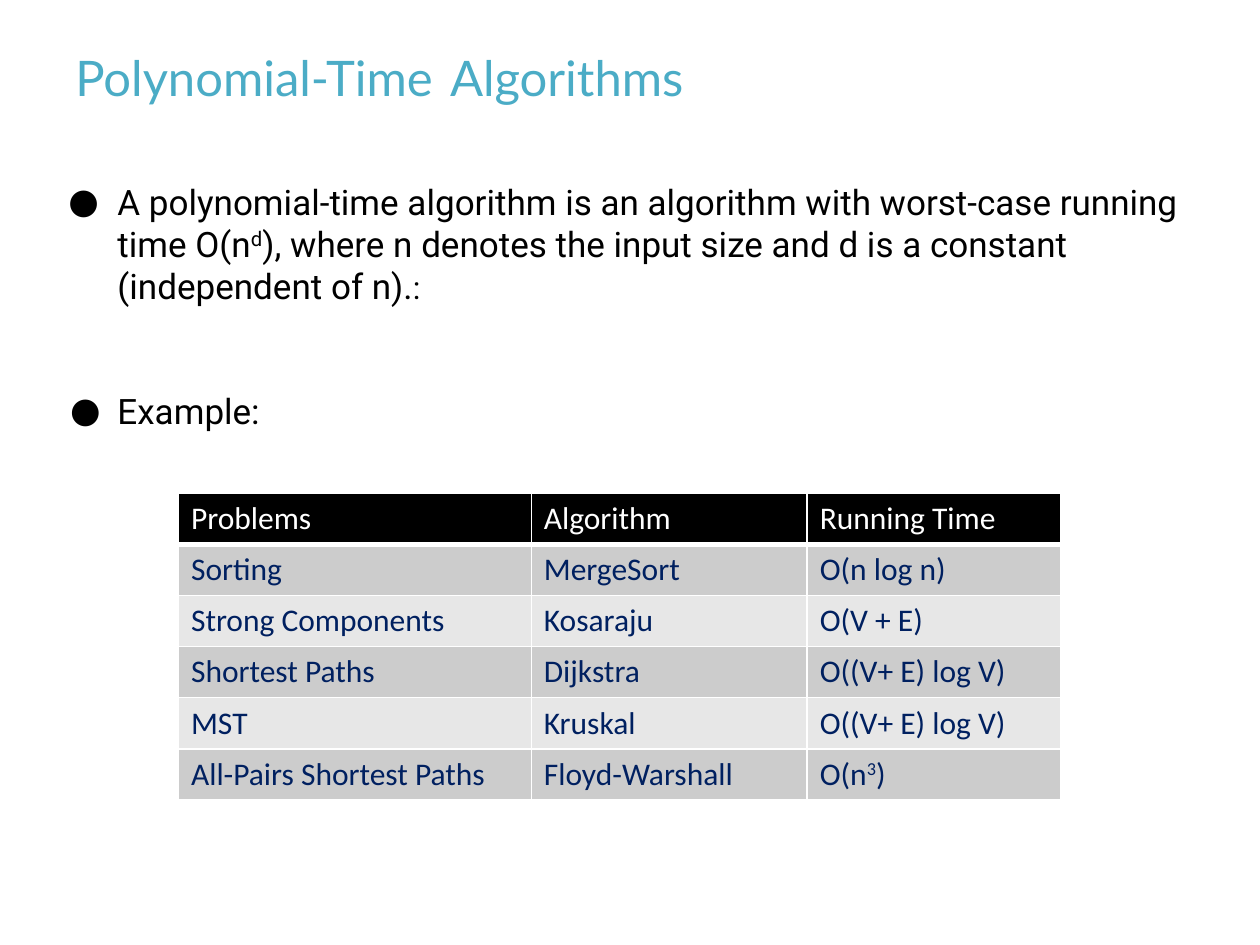
from dataclasses import dataclass

from lxml.etree import SubElement
from pptx import Presentation
from pptx.dml.color import RGBColor
from pptx.enum.shapes import MSO_SHAPE
from pptx.enum.text import MSO_ANCHOR, PP_ALIGN
from pptx.oxml.ns import qn
from pptx.util import Pt


@dataclass(frozen=True)
class Theme:
    title: str = "4BACC6"
    text: str = "000000"
    cell_text: str = "002060"
    white: str = "FFFFFF"
    header: str = "000000"
    bands: tuple = ("CCCCCC", "E7E7E7")
    title_size: int = 28
    gap_size: int = 44
    body_size: int = 20
    small_size: int = 18
    title_font: str = "Lato"
    body_font: str = "Roboto"
    table_font: str = "Calibri"


THEME = Theme()

ROWS = [
    ("Problems", "Algorithm", "Running Time"),
    ("Sorting", "MergeSort", "O(n log n)"),
    ("Strong Components", "Kosaraju", "O(V + E)"),
    ("Shortest Paths", "Dijkstra", "O((V+ E) log V)"),
    ("MST", "Kruskal", "O((V+ E) log V)"),
    ("All-Pairs Shortest Paths", "Floyd-Warshall", ("O(n", "3", ")")),
]


def apply_format(target, values):
    for name, value in values.items():
        setattr(target, name, value)


def add_span(para, text, font, size, color, raised=False):
    span = para.add_run()
    span.text = text
    apply_format(span.font, {"name": font, "size": Pt(size), "bold": False})
    span.font.color.rgb = RGBColor.from_string(color)
    if raised:
        span._r.get_or_add_rPr().set("baseline", "30000")


def format_frame(box, anchor):
    margins = {f"margin_{side}": Pt(7.2) for side in ("left", "top", "right", "bottom")}
    apply_format(box.text_frame, {"word_wrap": True, "vertical_anchor": anchor, **margins})
    return box.text_frame


def add_bullet(para, indent, hanging):
    properties = para._p.get_or_add_pPr()
    properties.set("marL", str(Pt(indent)))
    properties.set("indent", str(-Pt(hanging)))
    color = SubElement(properties, qn("a:buClr"))
    SubElement(color, qn("a:srgbClr"), val=THEME.text)
    SubElement(properties, qn("a:buFont"), typeface=THEME.body_font)
    SubElement(properties, qn("a:buChar"), char="●")


def set_borders(cell, widths):
    properties = cell._tc.get_or_add_tcPr()
    for position, (side, width) in enumerate(widths.items()):
        line = SubElement(properties, qn(f"a:ln{side}"), w=str(Pt(width)))
        fill = SubElement(line, qn("a:solidFill"))
        SubElement(fill, qn("a:srgbClr"), val=THEME.white)
        properties.insert(position, line)  # borders precede the cell fill


def add_title(page):
    box = page.shapes.add_shape(MSO_SHAPE.RECTANGLE, Pt(36), Pt(12.24), Pt(671), Pt(51.1))
    box.shadow.inherit = False
    box.fill.background()
    box.line.color.rgb = RGBColor.from_string(THEME.white)
    box.line.width = Pt(2.25)
    para = format_frame(box, MSO_ANCHOR.MIDDLE).paragraphs[0]
    para.alignment = PP_ALIGN.LEFT
    add_span(para, "Polynomial-Time", THEME.title_font, THEME.title_size, THEME.title)
    add_span(para, " ", THEME.table_font, THEME.gap_size, THEME.text)
    add_span(para, "Algorithms", THEME.title_font, THEME.title_size, THEME.title)


def add_body(page):
    box = page.shapes.add_textbox(Pt(24), Pt(95.76), Pt(671), Pt(401.8))
    frame = format_frame(box, MSO_ANCHOR.TOP)
    definition, example = frame.paragraphs[0], frame.add_paragraph()

    add_bullet(definition, 36, 28)
    for text, size, raised in (
        ("A polynomial-time algorithm is an algorithm with worst-case running time O(n",
         THEME.body_size, False),
        ("d", THEME.body_size, True),
        ("), where n denotes the input size and d is a constant (independent of n).",
         THEME.body_size, False),
        (":", THEME.small_size, False),
    ):
        add_span(definition, text, THEME.body_font, size, THEME.text, raised)

    apply_format(example, {"line_spacing": 1.14, "space_before": Pt(44.5)})
    add_bullet(example, 36, 27)
    add_span(example, "Example:", THEME.body_font, THEME.body_size, THEME.text)


def add_running_times(page):
    widths, row_height = (201.6, 157.7, 144.7), 29.2
    table = page.shapes.add_table(
        len(ROWS), len(widths), Pt(102), Pt(281.9),
        Pt(sum(widths)), Pt(row_height * len(ROWS))).table
    for column, width in zip(table.columns, widths):
        column.width = Pt(width)

    for row_number, texts in enumerate(ROWS):
        table.rows[row_number].height = Pt(row_height)
        is_header = row_number == 0
        fill = THEME.header if is_header else THEME.bands[(row_number - 1) % 2]
        color = THEME.white if is_header else THEME.cell_text
        borders = {"L": 1, "R": 1, "T": 3 if row_number == 1 else 1, "B": 3 if is_header else 1}
        for cell, content in zip(table.rows[row_number].cells, texts):
            cell.fill.solid()
            cell.fill.fore_color.rgb = RGBColor.from_string(fill)
            set_borders(cell, borders)
            # In a split entry every second part is a superscript
            parts = (content,) if isinstance(content, str) else content
            for number, part in enumerate(parts):
                add_span(cell.text_frame.paragraphs[0], part, THEME.table_font,
                         THEME.small_size, color, raised=number % 2 == 1)


def main():
    deck = Presentation()
    apply_format(deck, {"slide_width": Pt(720), "slide_height": Pt(540)})
    page = deck.slides.add_slide(deck.slide_layouts[6])
    add_title(page)
    add_body(page)
    add_running_times(page)
    deck.save("out.pptx")


if __name__ == "__main__":
    main()
